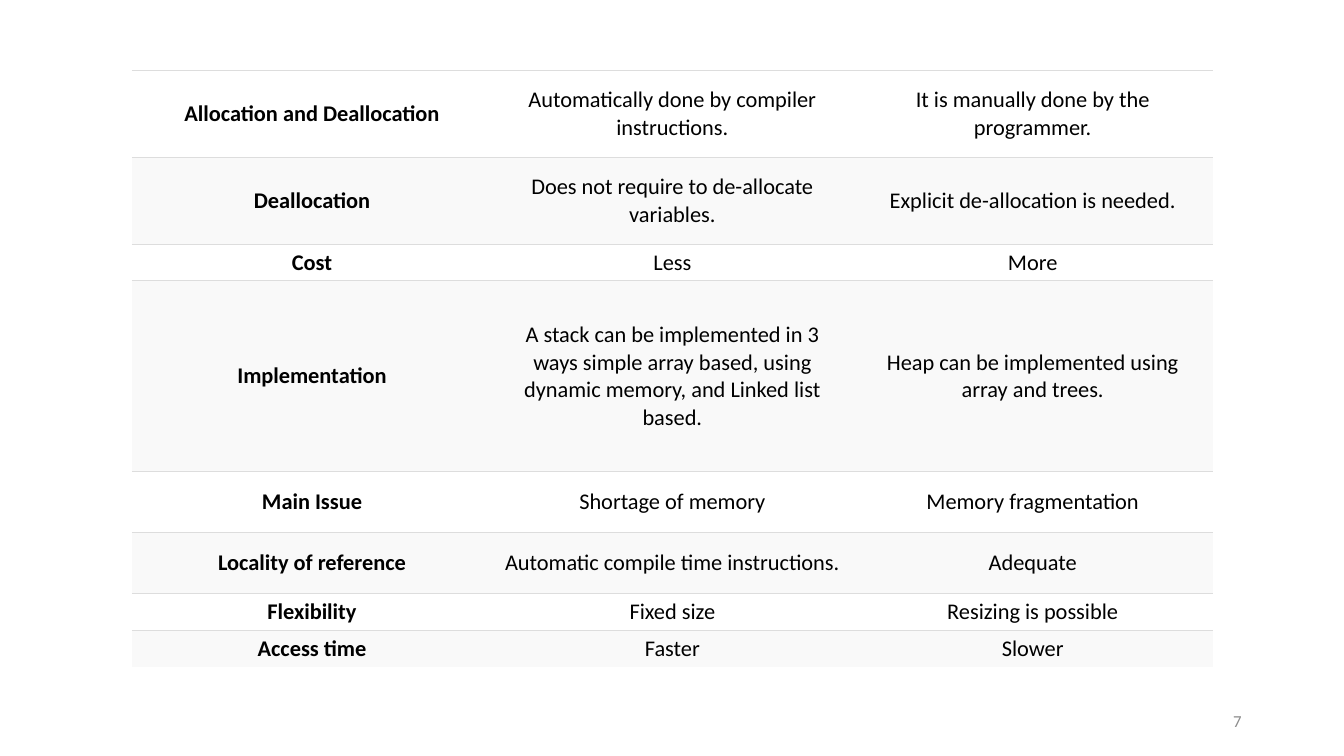
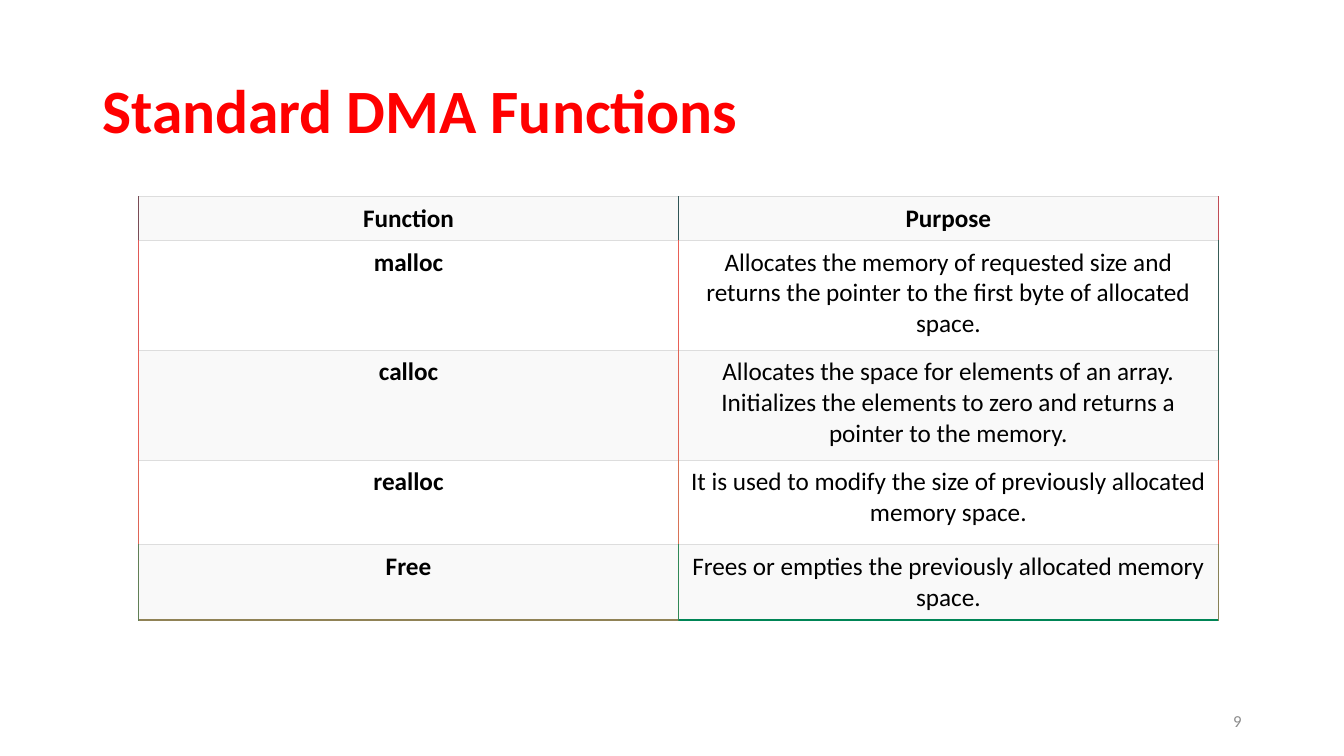
from lxml import etree
from pptx import Presentation
from pptx.dml.color import RGBColor
from pptx.enum.text import MSO_ANCHOR, PP_ALIGN
from pptx.oxml.ns import qn
from pptx.util import Pt

LEFT, CENTER, RIGHT = PP_ALIGN.LEFT, PP_ALIGN.CENTER, PP_ALIGN.RIGHT
TOP, MIDDLE = MSO_ANCHOR.TOP, MSO_ANCHOR.MIDDLE

FONT = "Calibri"
BLACK = RGBColor(0x00, 0x00, 0x00)
RED = RGBColor(0xFF, 0x00, 0x00)
GRAY = RGBColor(0x8C, 0x8C, 0x8C)
RULE = RGBColor(0xDD, 0xDD, 0xDD)
WHITE = RGBColor(0xFF, 0xFF, 0xFF)
STRIPE = RGBColor(0xF9, 0xF9, 0xF9)
RULE_WIDTH, EDGE_WIDTH = 0.6, 1

COMPARISON = [
    ("Allocation and Deallocation", "Automatically done by compiler instructions.",
     "It is manually done by the programmer."),
    ("Deallocation", "Does not require to de-allocate variables.",
     "Explicit de-allocation is needed."),
    ("Cost", "Less", "More"),
    ("Implementation",
     "A stack can be implemented in 3 ways simple array based, using dynamic memory, "
     "and Linked list based.",
     "Heap can be implemented using array and trees."),
    ("Main Issue", "Shortage of memory", "Memory fragmentation"),
    ("Locality of reference", "Automatic compile time instructions.", "Adequate"),
    ("Flexibility", "Fixed size", "Resizing is possible"),
    ("Access time", "Faster", "Slower"),
]
COMPARISON_HEIGHTS = [62.2, 62.2, 26, 136.4, 43.6, 43.6, 26, 26]

FUNCTIONS = [
    ("Function", "Purpose"),
    ("malloc", "Allocates the memory of requested size and returns the pointer to the "
               "first byte of allocated space."),
    ("calloc", "Allocates the space for elements of an array. Initializes the elements "
               "to zero and returns a pointer to the memory."),
    ("realloc", "It is used to modify the size of previously allocated memory space."),
    ("Free", "Frees or empties the previously allocated memory space."),
]
FUNCTION_HEIGHTS = [31.4, 78.4, 78.4, 60.6, 53.8]
# Vertical edges of each row, from left to right, then the bottom edge of each column
FUNCTION_EDGES = [
    ("784C56", "305556", "C04C56"),
    ("E05956", "E86056", "385C56"),
    ("E86056", "E06556", "386256"),
    ("E06556", "D87356", "E06556"),
    ("607F56", "308856", "888156"),
]
FUNCTION_BOTTOM = ("908256", "008556")


def set_border(cell, side, color, width):
    """Draw one side (L, R, T or B) of a cell, or clear it if color is None."""
    properties = cell._tc.get_or_add_tcPr()
    line = etree.SubElement(properties, qn(f"a:ln{side}"), w=str(Pt(width)))
    if color is None:
        etree.SubElement(line, qn("a:noFill"))
    else:
        fill = etree.SubElement(line, qn("a:solidFill"))
        etree.SubElement(fill, qn("a:srgbClr"), val=str(color))


class Deck:
    def __init__(self):
        self.presentation = Presentation()
        self.presentation.slide_width = Pt(960)
        self.presentation.slide_height = Pt(540)
        self.slide = None

    def add_slide(self, number):
        self.slide = self.presentation.slides.add_slide(self.presentation.slide_layouts[6])
        self.add_text(str(number), 678, 500.5, 216, 28.8, 12, GRAY, RIGHT)

    def style(self, paragraph, size, color, alignment, bold):
        paragraph.alignment = alignment
        font = paragraph.font
        font.name, font.size, font.bold = FONT, Pt(size), bold
        font.color.rgb = color

    def add_text(self, text, left, top, width, height, size, color, alignment, bold=False):
        box = self.slide.shapes.add_textbox(Pt(left), Pt(top), Pt(width), Pt(height))
        frame = box.text_frame
        frame.word_wrap = True
        frame.vertical_anchor = MIDDLE
        frame.text = text
        self.style(frame.paragraphs[0], size, color, alignment, bold)
        return frame.paragraphs[0]

    def add_title(self, text):
        paragraph = self.add_text(text, 66, 28.8, 828, 104.4, 44, RED, LEFT, bold=True)
        paragraph.line_spacing = 0.9

    def add_table(self, rows, heights, left, top, column_width, size, anchor, margins,
                  header=False, edges=None, bottom=None):
        """Add a striped table with a bold first column; edges colour its vertical lines."""
        columns = len(rows[0])
        frame = self.slide.shapes.add_table(len(rows), columns, Pt(left), Pt(top),
                                            Pt(column_width * columns), Pt(sum(heights)))
        table = frame.table
        table.first_row = table.horz_banding = False
        for column in table.columns:
            column.width = Pt(column_width)
        for i, (texts, height) in enumerate(zip(rows, heights)):
            table.rows[i].height = Pt(height)
            is_header = header and i == 0
            striped = i % 2 == (0 if header else 1)
            for j, text in enumerate(texts):
                cell = table.cell(i, j)
                cell.text = text
                cell.vertical_anchor = anchor
                cell.margin_left = cell.margin_right = Pt(margins[0])
                cell.margin_top = cell.margin_bottom = Pt(margins[1])
                self.style(cell.text_frame.paragraphs[0], size, BLACK, CENTER,
                           is_header or j == 0)
                set_border(cell, "L", edges[i][j] if edges else None, EDGE_WIDTH)
                set_border(cell, "R", edges[i][j + 1] if edges else None, EDGE_WIDTH)
                set_border(cell, "T", RULE, RULE_WIDTH)
                if i < len(rows) - 1:
                    set_border(cell, "B", RULE, RULE_WIDTH)
                else:
                    set_border(cell, "B", bottom[j] if bottom else None, EDGE_WIDTH)
                cell.fill.solid()
                cell.fill.fore_color.rgb = STRIPE if striped else WHITE


def main():
    deck = Deck()

    deck.add_slide(7)
    deck.add_table(COMPARISON, COMPARISON_HEIGHTS, 94.2, 50.2, 257.4, 16, MIDDLE, (6.5, 3.2))

    deck.add_slide(9)
    deck.add_title("Standard DMA Functions")
    deck.add_table(FUNCTIONS, FUNCTION_HEIGHTS, 99, 140.4, 385.6, 18, TOP, (4.7, 4.7),
                   header=True, edges=FUNCTION_EDGES, bottom=FUNCTION_BOTTOM)

    deck.presentation.save("out.pptx")


if __name__ == "__main__":
    main()
